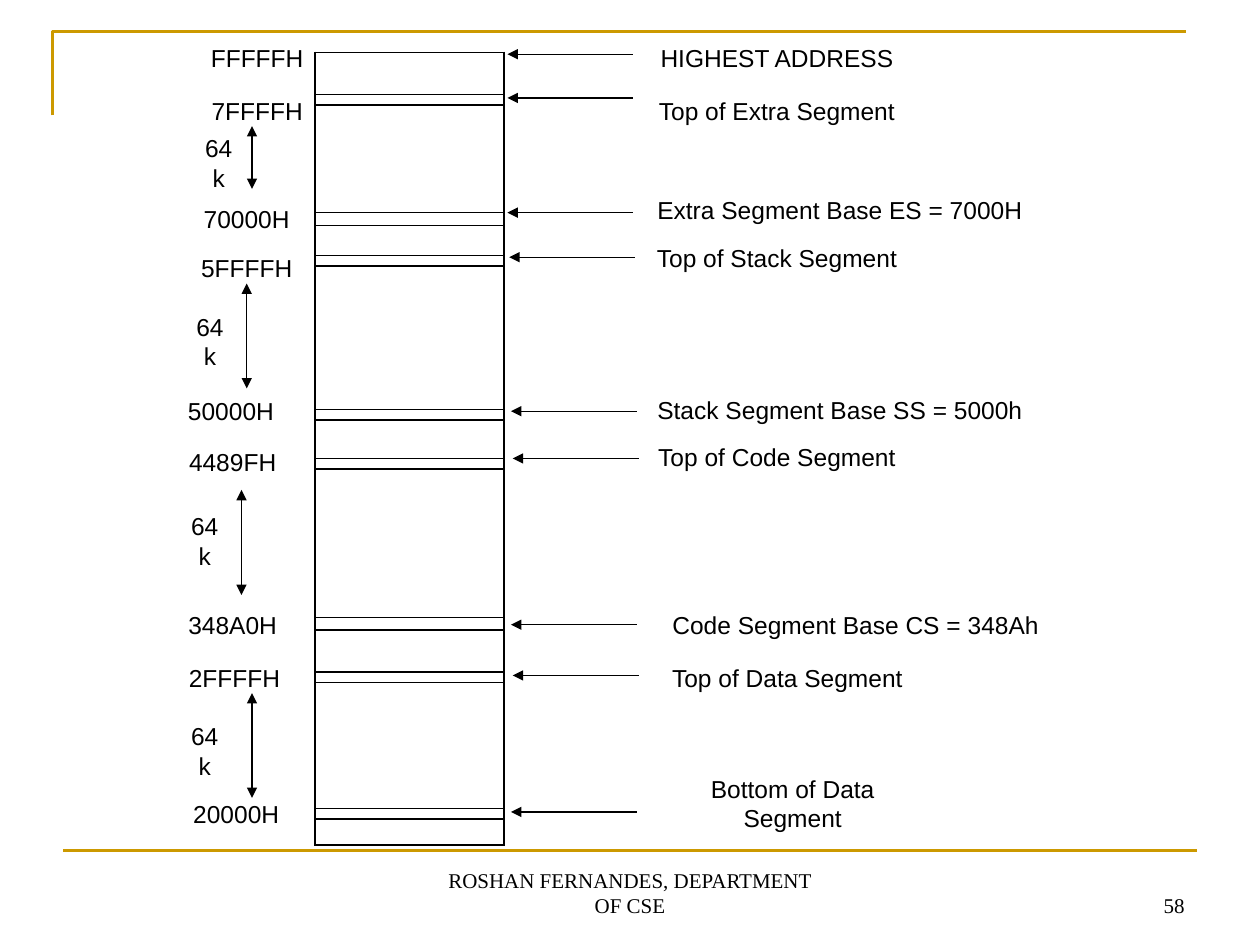
from dataclasses import dataclass

import pptx
import pptx.dml.color
import pptx.enum.shapes
import pptx.enum.text
import pptx.oxml.ns
import pptx.util
from lxml import etree

Pt = pptx.util.Pt
ALIGN = pptx.enum.text.PP_ALIGN
ANCHOR = pptx.enum.text.MSO_ANCHOR


@dataclass(frozen=True)
class Theme:
    ink: str = "000000"
    accent: str = "CC9900"
    label_font: str = "Arial"
    footer_font: str = "Times New Roman"
    label_size: float = 14
    footer_size: float = 12
    thin: float = 0.75
    border: float = 1.08
    rule: float = 1.5


@dataclass(frozen=True)
class Box:
    left: float
    top: float
    width: float
    height: float


THEME = Theme()

# Tops of the paired lines in the column, and the gap within each pair
BANDS = [(24, 6), (91.5, 7.5), (116, 6), (204, 6),
         (232, 6), (323, 7), (354, 6), (432, 6)]
# Address, left, middle
ADDRESSES = [
    ("FFFFFH", 15, 3), ("7FFFFH", 15, 33), ("70000H", 9, 95),
    ("5FFFFH", 9, 123), ("50000H", 0, 204.5), ("4489FH", 1, 234),
    ("348A0H", 1, 327), ("2FFFFH", 2, 357), ("20000H", 3, 435),
]
# Arrow left, arrow top, arrow bottom, size left, size middle
SPANS = [(51, 42, 78, 17, 63), (48, 132, 192, 12, 165),
         (45, 250, 310, 9, 279), (51, 366, 426, 9, 399)]
# Label, arrow left, arrow height, text left, text middle, text width
LABELS = [
    ("HIGHEST ADDRESS", 0, 1, 76, 3, 156),
    ("Top of Extra Segment", 0, 26, 76, 33, 156),
    ("Extra Segment Base ES = 7000H", 0, 91.5, 76, 90, 228),
    ("Top of Stack Segment", 1, 117, 76, 117, 156),
    ("Stack Segment Base SS = 5000h", 2, 205, 76, 204, 228),
    ("Top of Code Segment", 3, 232, 76, 231, 156),
    ("Code Segment Base CS = 348Ah", 2, 327, 81, 327, 236),
    ("Top of Data Segment", 3, 356, 82, 357, 156),
    ("Bottom of Data Segment", 2, 434, 85, 429, 156),
]


def rgb(color):
    return pptx.dml.color.RGBColor.from_string(color)


def add_line(slide, start, end, color=THEME.ink, width=THEME.thin, ends=()):
    """Draw a straight line; ends names the ends that carry a triangle."""
    line = slide.shapes.add_connector(
        pptx.enum.shapes.MSO_CONNECTOR.STRAIGHT, *map(Pt, (*start, *end)))
    line.line.color.rgb = rgb(color)
    line.line.width = Pt(width)
    for end_name in ends:
        etree.SubElement(line.line._get_or_add_ln(),
                         pptx.oxml.ns.qn(f"a:{end_name}"), type="triangle")
    etree.SubElement(line._element.spPr, pptx.oxml.ns.qn("a:effectLst"))


def add_text(slide, box, text, font, size, align, anchor, wrap):
    shape = slide.shapes.add_textbox(
        *map(Pt, (box.left, box.top, box.width, box.height)))
    frame = shape.text_frame
    frame.word_wrap = wrap
    frame.vertical_anchor = anchor
    paragraph = frame.paragraphs[0]
    paragraph.text = text
    paragraph.alignment = align
    paragraph.font.name = font
    paragraph.font.size = Pt(size)
    paragraph.font.color.rgb = rgb(THEME.ink)


def add_label(slide, text, left, middle, width, height=18):
    """Write one unwrapped line centred on the given height."""
    add_text(slide, Box(left, middle - height / 2, width, height), text,
             THEME.label_font, THEME.label_size,
             ALIGN.CENTER, ANCHOR.MIDDLE, False)


def draw_frame(slide, box):
    """Draw the corner bracket and the rule above the footer."""
    builder = slide.shapes.build_freeform(
        box.left, box.top + 48, scale=Pt(1))
    builder.add_line_segments(
        [(box.left, box.top), (box.left + 648, box.top)], close=False)
    bracket = builder.convert_to_shape()
    bracket.shadow.inherit = False
    bracket.fill.background()
    bracket.line.color.rgb = rgb(THEME.accent)
    bracket.line.width = Pt(THEME.rule)
    right, bottom = box.left + box.width, box.top + box.height
    add_line(slide, (right - 648, bottom), (right, bottom),
             THEME.accent, THEME.rule)


def draw_memory_column(slide, box):
    table = slide.shapes.add_table(
        1, 1, *map(Pt, (box.left, box.top, box.width, box.height))).table
    table.first_row = table.horz_banding = False
    cell = table.cell(0, 0)
    properties = cell._tc.get_or_add_tcPr()
    for side in ("lnL", "lnR", "lnT", "lnB"):
        border = etree.SubElement(properties, pptx.oxml.ns.qn(f"a:{side}"),
                                  w=str(int(Pt(THEME.border))))
        fill = etree.SubElement(border, pptx.oxml.ns.qn("a:solidFill"))
        etree.SubElement(fill, pptx.oxml.ns.qn("a:srgbClr"), val=THEME.ink)
    cell.fill.background()
    for top, gap in BANDS:
        for y in (box.top + top, box.top + top + gap):
            add_line(slide, (box.left, y), (box.left + box.width, y))


def draw_addresses(slide, box):
    """Write the addresses and the 64k spans between them."""
    for text, left, middle in ADDRESSES:
        add_label(slide, text, box.left + left, box.top + middle, 78)
    for arrow_left, top, bottom, size_left, middle in SPANS:
        x = box.left + arrow_left
        add_line(slide, (x, box.top + top), (x, box.top + bottom),
                 ends=("headEnd", "tailEnd"))
        add_label(slide, "64k", box.left + size_left, box.top + middle, 30)


def draw_segment_labels(slide, box):
    for text, arrow_left, arrow_y, text_left, middle, width in LABELS:
        x, y = box.left + arrow_left, box.top + arrow_y
        add_line(slide, (x, y), (x + 72, y), ends=("headEnd",))
        add_label(slide, text, box.left + text_left, box.top + middle, width)


def draw_footer(slide, box):
    parts = [("ROSHAN FERNANDES, DEPARTMENT OF CSE", 0, 228, ALIGN.CENTER),
             ("58", box.width - 168, 168, ALIGN.RIGHT)]
    for text, left, width, align in parts:
        add_text(slide, Box(box.left + left, box.top, width, box.height),
                 text, THEME.footer_font, THEME.footer_size,
                 align, ANCHOR.BOTTOM, True)


def main():
    presentation = pptx.Presentation()
    presentation.slide_width = Pt(720)
    presentation.slide_height = Pt(540)
    slide = presentation.slides.add_slide(presentation.slide_layouts[6])
    draw_frame(slide, Box(30, 18, 654, 468))
    draw_memory_column(slide, Box(180, 30, 108, 453))
    draw_segment_labels(slide, Box(290, 30, 320, 453))
    draw_addresses(slide, Box(93, 30, 93, 453))
    draw_footer(slide, Box(246, 492, 438, 36))
    presentation.save("out.pptx")


if __name__ == "__main__":
    main()
